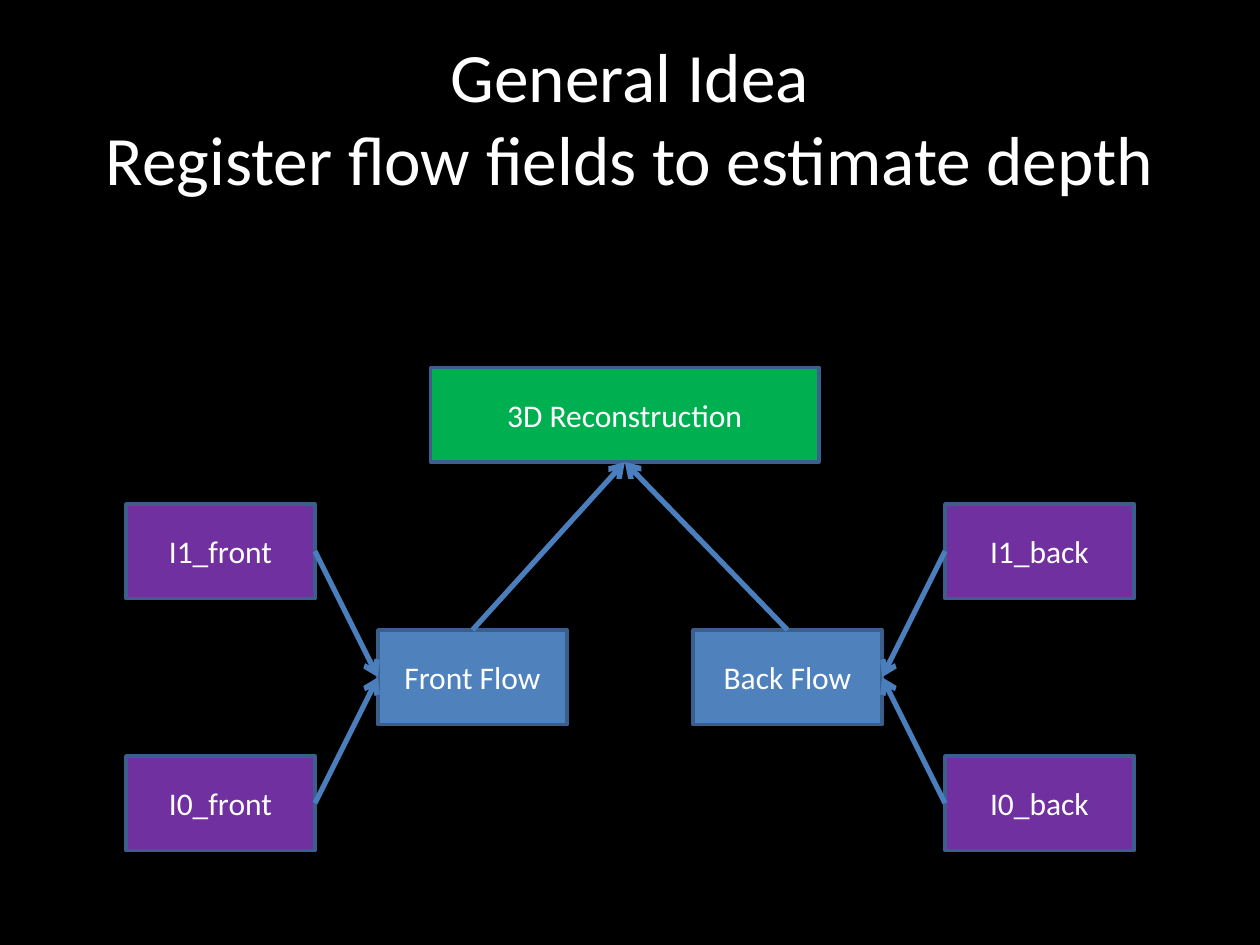
from dataclasses import dataclass
from enum import IntEnum

from lxml.etree import SubElement
from pptx import Presentation
from pptx.dml.color import RGBColor
from pptx.enum.shapes import MSO_CONNECTOR, MSO_SHAPE
from pptx.enum.text import MSO_ANCHOR, PP_ALIGN
from pptx.oxml.ns import qn
from pptx.shapes.autoshape import Shape
from pptx.slide import Slide
from pptx.text.text import TextFrame
from pptx.util import Pt


@dataclass(frozen=True)
class Theme:
    font: str = "Calibri"
    title_size: float = 39.6
    label_size: float = 18
    background: RGBColor = RGBColor(0x00, 0x00, 0x00)
    text: RGBColor = RGBColor(0xFF, 0xFF, 0xFF)
    image: RGBColor = RGBColor(0x70, 0x30, 0xA0)
    flow: RGBColor = RGBColor(0x4F, 0x81, 0xBD)
    result: RGBColor = RGBColor(0x00, 0xB0, 0x50)
    outline: RGBColor = RGBColor(0x3A, 0x5F, 0x8C)
    arrow: RGBColor = RGBColor(0x4B, 0x7E, 0xBC)
    outline_width: float = 2
    arrow_width: float = 3


class Side(IntEnum):
    TOP = 0
    LEFT = 1
    BOTTOM = 2
    RIGHT = 3


@dataclass(frozen=True)
class Step:
    label: str
    left: float
    top: float
    fill: RGBColor
    width: float = 108
    height: float = 54


@dataclass(frozen=True)
class Link:
    source: str
    source_side: Side
    target: str
    target_side: Side


THEME = Theme()

RECONSTRUCTION = "3D Reconstruction"
STEPS = [
    Step("I1_front", 72, 288, THEME.image),
    Step("I0_front", 72, 432, THEME.image),
    Step("Front Flow", 216, 360, THEME.flow),
    Step("Back Flow", 396, 360, THEME.flow),
    Step("I1_back", 540, 288, THEME.image),
    Step("I0_back", 540, 432, THEME.image),
    Step(RECONSTRUCTION, 246, 210, THEME.result, width=222),
]
LINKS = [
    Link("I1_front", Side.RIGHT, "Front Flow", Side.LEFT),
    Link("I0_front", Side.RIGHT, "Front Flow", Side.LEFT),
    Link("I1_back", Side.LEFT, "Back Flow", Side.RIGHT),
    Link("I0_back", Side.LEFT, "Back Flow", Side.RIGHT),
    Link("Front Flow", Side.TOP, RECONSTRUCTION, Side.BOTTOM),
    Link("Back Flow", Side.TOP, RECONSTRUCTION, Side.BOTTOM),
]


def write_centred(frame: TextFrame, text: str, size: float) -> None:
    frame.text = text
    frame.word_wrap = True
    frame.vertical_anchor = MSO_ANCHOR.MIDDLE
    for paragraph in frame.paragraphs:
        paragraph.alignment = PP_ALIGN.CENTER
        for run in paragraph.runs:
            run.font.name = THEME.font
            run.font.size = Pt(size)
            run.font.color.rgb = THEME.text


def draw_title(slide: Slide) -> None:
    title = slide.shapes.add_textbox(Pt(36), Pt(21.6), Pt(648), Pt(90))
    # A vertical tab becomes a line break inside the paragraph.
    write_centred(title.text_frame,
                  "General Idea\vRegister flow fields to estimate depth",
                  THEME.title_size)


def draw_step(slide: Slide, step: Step) -> Shape:
    box = slide.shapes.add_shape(MSO_SHAPE.RECTANGLE, Pt(step.left), Pt(step.top),
                                 Pt(step.width), Pt(step.height))
    box.shadow.inherit = False
    box.fill.solid()
    box.fill.fore_color.rgb = step.fill
    box.line.color.rgb = THEME.outline
    box.line.width = Pt(THEME.outline_width)
    write_centred(box.text_frame, step.label, THEME.label_size)
    return box


def draw_link(slide: Slide, link: Link, boxes: dict[str, Shape]) -> None:
    """Join two boxes with an open arrowhead at the target."""
    arrow = slide.shapes.add_connector(MSO_CONNECTOR.STRAIGHT, Pt(0), Pt(0), Pt(0), Pt(0))
    arrow.begin_connect(boxes[link.source], link.source_side)
    arrow.end_connect(boxes[link.target], link.target_side)
    arrow.line.color.rgb = THEME.arrow
    arrow.line.width = Pt(THEME.arrow_width)
    SubElement(arrow.line._get_or_add_ln(), qn("a:tailEnd"), type="arrow")
    SubElement(arrow._element.spPr, qn("a:effectLst"))


def main() -> None:
    presentation = Presentation()
    presentation.slide_width, presentation.slide_height = Pt(720), Pt(540)
    slide = presentation.slides.add_slide(presentation.slide_layouts[6])
    slide.background.fill.solid()
    slide.background.fill.fore_color.rgb = THEME.background

    boxes = {step.label: draw_step(slide, step) for step in STEPS}
    for link in LINKS:
        draw_link(slide, link, boxes)
    draw_title(slide)
    presentation.save("out.pptx")


if __name__ == "__main__":
    main()
